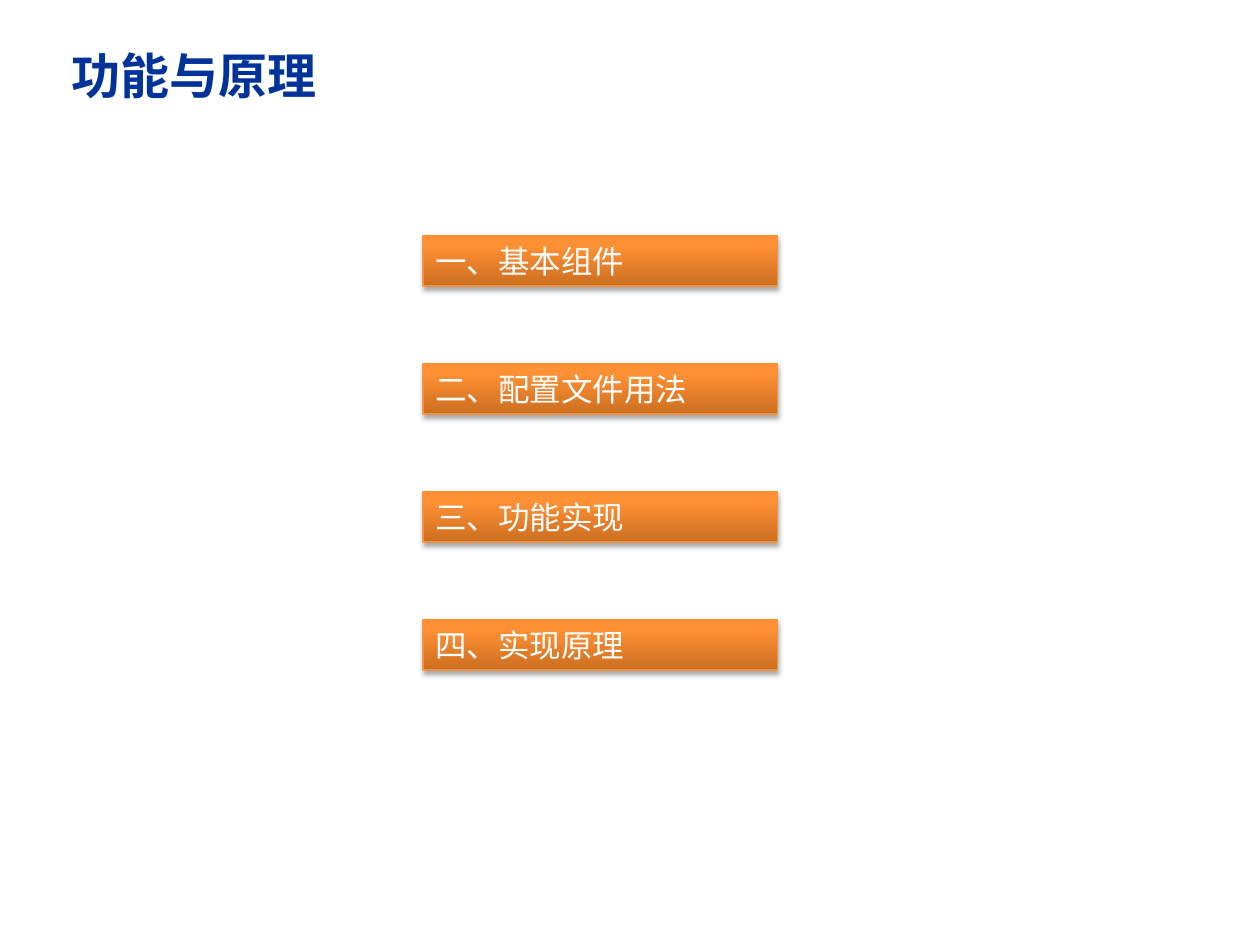
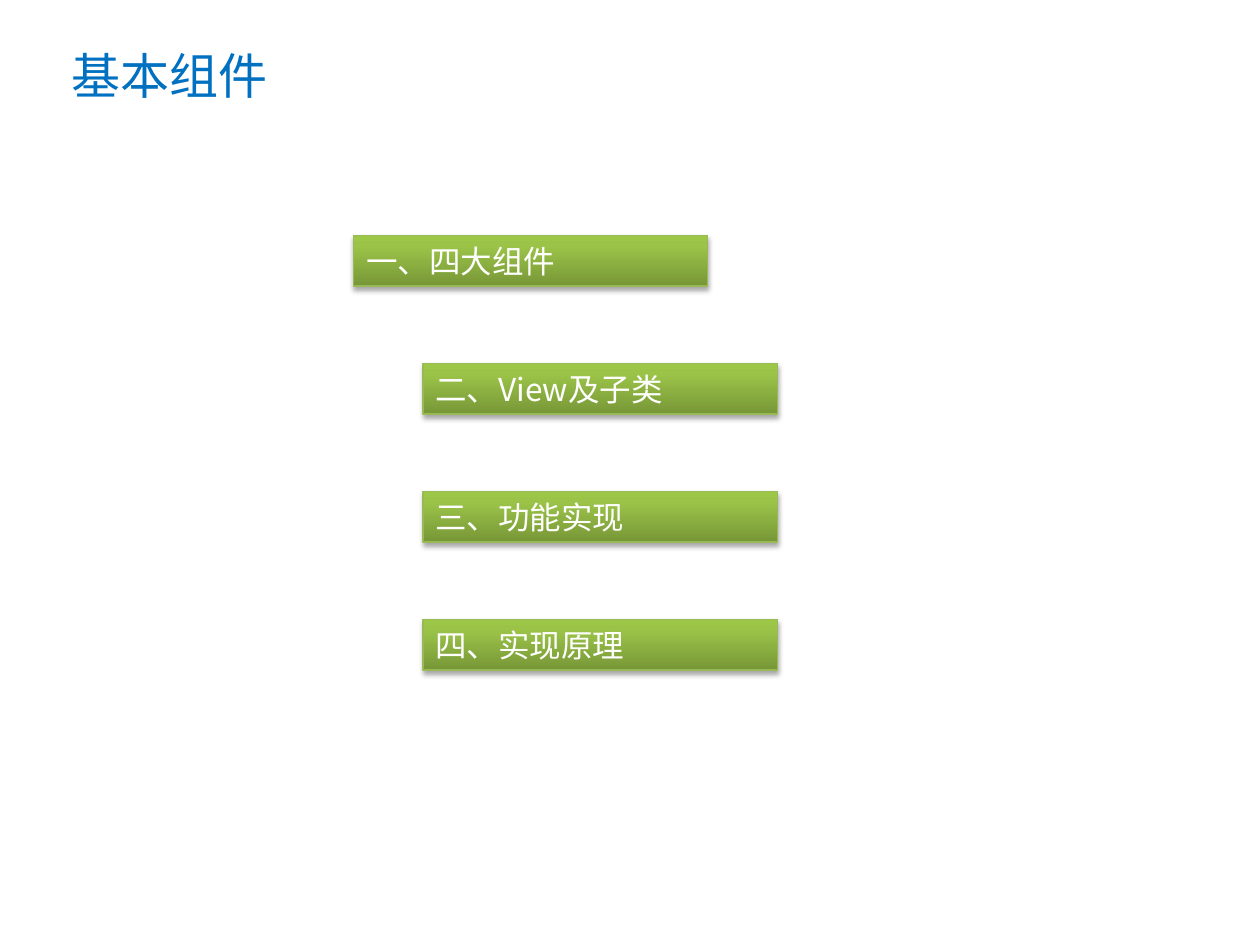
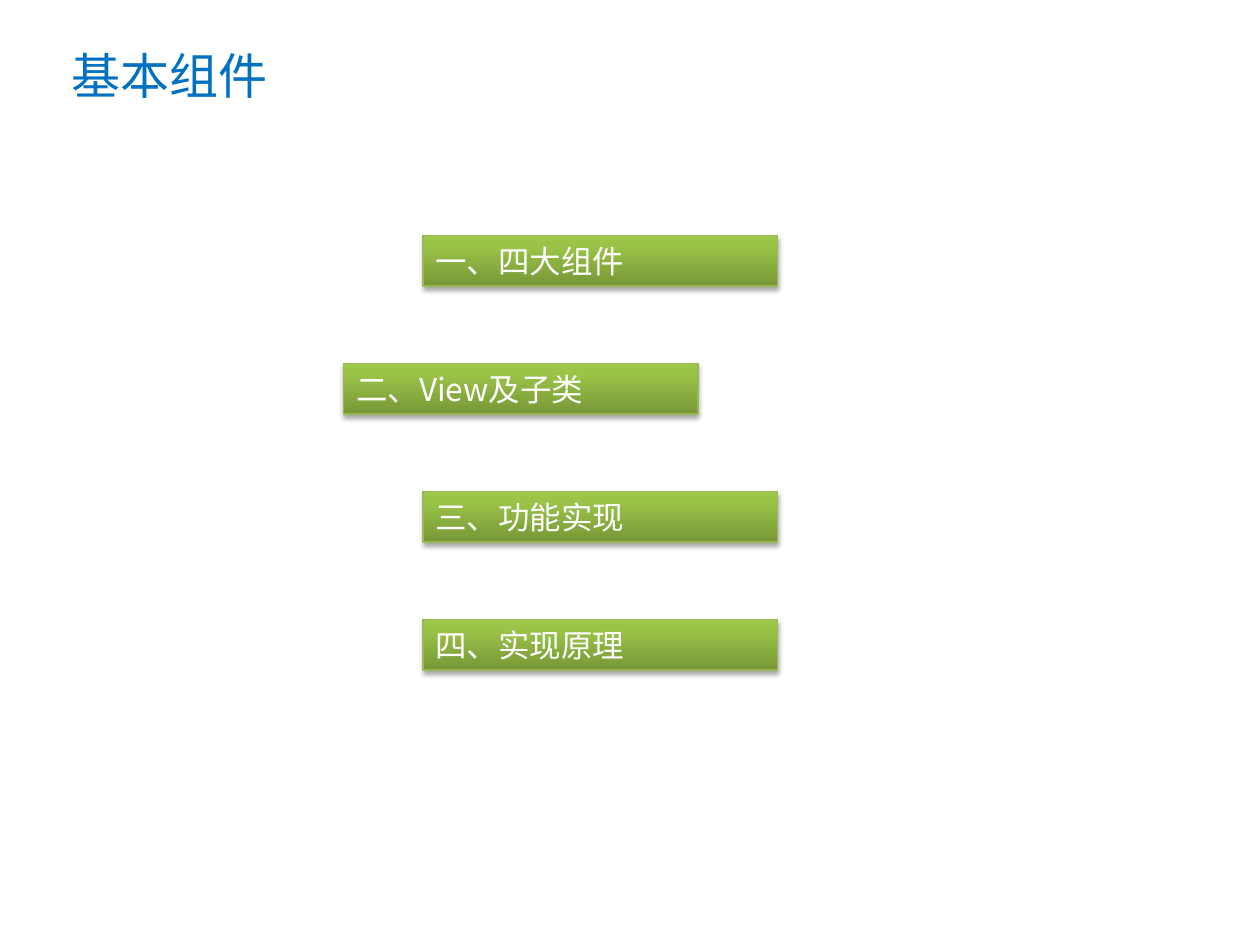
from dataclasses import dataclass

from pptx import Presentation
from pptx.dml.color import RGBColor as RGB
from pptx.enum.shapes import MSO_SHAPE as SHAPE
from pptx.enum.text import MSO_ANCHOR as ANCHOR, MSO_AUTO_SIZE as AUTO, PP_ALIGN as ALIGN
from pptx.oxml import parse_xml
from pptx.oxml.ns import nsdecls, qn
from pptx.util import Cm, Pt


@dataclass(frozen=True)
class BarStyle:
    line: str
    stops: tuple


@dataclass(frozen=True)
class Theme:
    font: str = "Noto Sans CJK SC"
    title_size: int = 28
    item_size: int = 18
    navy: str = "003399"
    blue: str = "0070C0"
    white: str = "FFFFFF"
    orange: BarStyle = BarStyle("F69240", ((0, "CC6E20"), (80, "FF9034"), (100, "FF9136")))
    green: BarStyle = BarStyle("98B955", ((0, "779737"), (80, "9BC348"), (100, "9DC746")))


THEME = Theme()

TITLE_LEFT, TITLE_TOP, TITLE_HEIGHT = 1.19, 0.79, 1.45
BAR_LEFT, BAR_TOP, BAR_WIDTH, BAR_HEIGHT = 8.53, 4.75, 7.14, 1.02
BAR_PITCH = 2.58

CHAPTERS = ["一、基本组件", "二、配置文件用法", "三、功能实现", "四、实现原理"]
COMPONENTS = ["一、四大组件", "二、View及子类", "三、功能实现", "四、实现原理"]


def write(tf, text, size, color, bold=False):
    """Put one left-aligned run at the top of a frame that grows with its text."""
    tf.auto_size = AUTO.SHAPE_TO_FIT_TEXT
    tf.vertical_anchor = ANCHOR.TOP
    p = tf.paragraphs[0]
    p.alignment = ALIGN.LEFT
    r = p.add_run()
    r.text = text
    r.font.name = THEME.font
    r.font.size = Pt(size)
    r.font.bold = bold
    r.font.color.rgb = RGB.from_string(color)
    east_asian = parse_xml(f'<a:ea {nsdecls("a")} typeface="{THEME.font}"/>')
    r.font._element.find(qn("a:latin")).addnext(east_asian)


def set_gradient(sp, stops):
    """Fill from the bottom edge upwards; stops are (percent, colour)."""
    gs = "".join(
        f'<a:gs pos="{pos * 1000}"><a:srgbClr val="{color}"/></a:gs>' for pos, color in stops
    )
    fill = parse_xml(
        f'<a:gradFill {nsdecls("a")}><a:gsLst>{gs}</a:gsLst>'
        '<a:lin ang="16200000" scaled="0"/></a:gradFill>'
    )
    sp._element.spPr.find(qn("a:prstGeom")).addnext(fill)


def set_shadow(sp):
    sp.shadow.inherit = False
    sp._element.spPr.find(qn("a:effectLst")).append(parse_xml(
        f'<a:outerShdw {nsdecls("a")} blurRad="{Pt(3.1)}" dist="{Pt(1.8)}" dir="5400000" '
        'rotWithShape="0"><a:srgbClr val="000000"><a:alpha val="35000"/></a:srgbClr>'
        '</a:outerShdw>'
    ))


def add_bar(slide, left, top, text, style):
    sp = slide.shapes.add_shape(
        SHAPE.RECTANGLE, Cm(left), Cm(top), Cm(BAR_WIDTH), Cm(BAR_HEIGHT))
    set_gradient(sp, style.stops)
    sp.line.color.rgb = RGB.from_string(style.line)
    sp.line.width = Pt(0.75)
    set_shadow(sp)
    sp.text_frame.word_wrap = True
    write(sp.text_frame, text, THEME.item_size, THEME.white)


def set_title(slide, text, color, bold):
    title = slide.shapes.title
    title.left, title.top = Cm(TITLE_LEFT), Cm(TITLE_TOP)
    title.width, title.height = Cm(len(text) + 0.5), Cm(TITLE_HEIGHT)
    title.text_frame.word_wrap = False
    write(title.text_frame, text, THEME.title_size, color, bold)


def add_agenda(prs, title, items, style, color, bold=False, current=None, shift=0):
    """Add a slide of stacked bars; the current one stands out to the left by shift."""
    slide = prs.slides.add_slide(prs.slide_layouts[5])
    set_title(slide, title, color, bold)
    for i, item in enumerate(items):
        left = BAR_LEFT - (shift if i == current else 0)
        add_bar(slide, left, BAR_TOP + i * BAR_PITCH, item, style)


def main():
    prs = Presentation()
    prs.slide_width, prs.slide_height = Cm(25.4), Cm(19.05)
    add_agenda(prs, "功能与原理", CHAPTERS, THEME.orange, THEME.navy, bold=True)
    for current, shift in enumerate((1.4, 1.6)):
        add_agenda(prs, "基本组件", COMPONENTS, THEME.green, THEME.blue,
                   current=current, shift=shift)
    prs.save("out.pptx")


if __name__ == "__main__":
    main()
